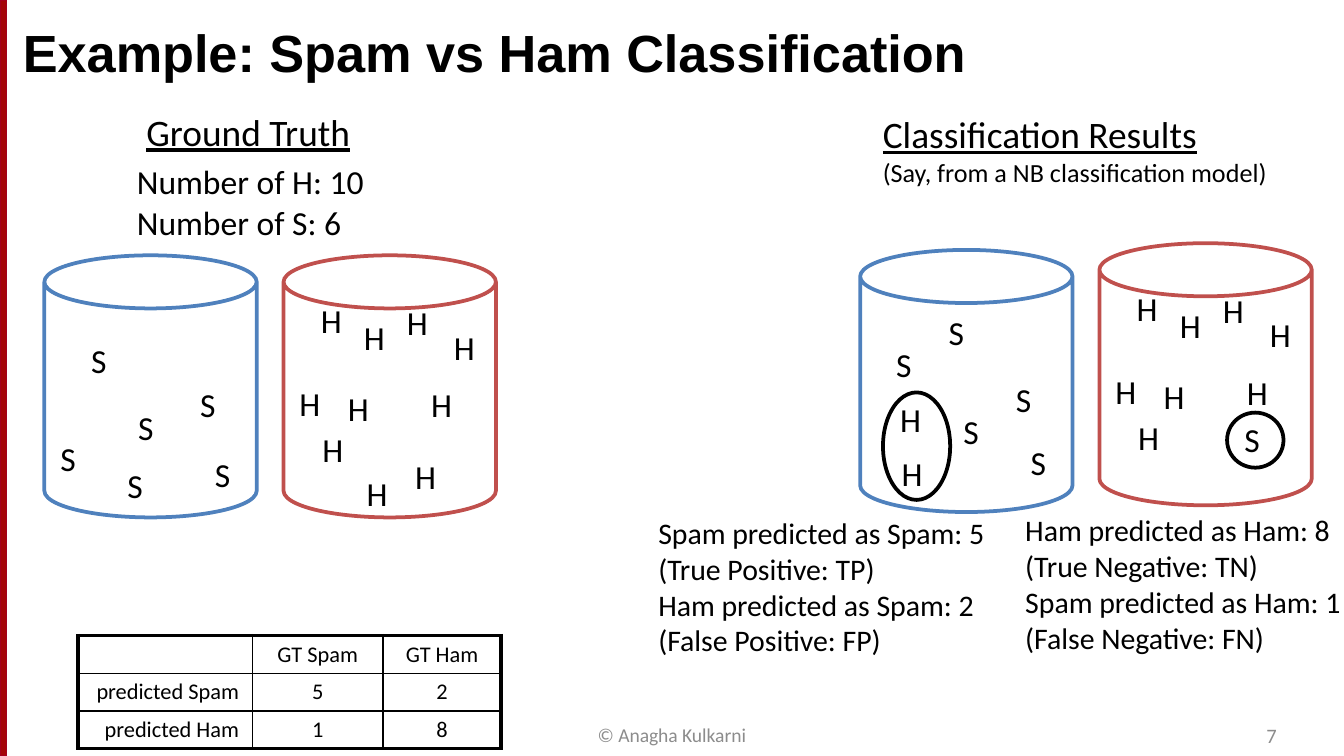
from lxml import etree
from pptx import Presentation
from pptx.dml.color import RGBColor
from pptx.enum.shapes import MSO_CONNECTOR, MSO_SHAPE
from pptx.enum.text import MSO_ANCHOR, MSO_AUTO_SIZE, PP_ALIGN
from pptx.oxml.ns import qn
from pptx.util import Inches, Pt

CAN, OVAL, RECTANGLE = MSO_SHAPE.CAN, MSO_SHAPE.OVAL, MSO_SHAPE.RECTANGLE
STRAIGHT = MSO_CONNECTOR.STRAIGHT
LEFT, CENTER, RIGHT = PP_ALIGN.LEFT, PP_ALIGN.CENTER, PP_ALIGN.RIGHT
BOTTOM = MSO_ANCHOR.BOTTOM
NO_AUTO_SIZE = MSO_AUTO_SIZE.NONE

SLIDE_WIDTH = 10
SLIDE_HEIGHT = SLIDE_WIDTH * 9 / 16
BLACK, WHITE, GRAY = "000000", "FFFFFF", "8C8C8C"
BLUE, RED = "4F81BD", "C0504D"
CAN_WIDTH, CAN_HEIGHT = 1.58, 1.95
LETTER_WIDTHS = {"H": 0.36, "S": 0.32}

HAM_SPOTS = [(0.5, 0.41), (1, 0.91), (0.38, 0.94), (1.17, 0.48), (0.82, 0.3),
             (0.02, 0.9), (0.19, 1.24), (0.18, 0.28), (0.88, 1.44), (0.52, 1.57)]
SPAM_SPOTS = [(0.6, 1.08), (0.52, 1.51), (0.02, 1.31),
              (1.06, 0.91), (0.25, 0.58), (1.17, 1.43)]
TRUE_POSITIVE_SPOTS = [(0.56, 0.41), (0.17, 0.65), (1.06, 0.91),
                       (0.67, 1.15), (1.17, 1.38)]
FALSE_POSITIVE_SPOTS = [(0.2, 1.06), (0.21, 1.46)]
FALSE_NEGATIVE_SPOTS = [(0.98, 1.26)]


def color(value):
    return RGBColor.from_string(value)


def box(left, top, width, height):
    return [Inches(length) for length in (left, top, width, height)]


def write(frame, text, size=18, font="Calibri", ink=BLACK, bold=False,
          underline=False, align=LEFT):
    for line in text.split("\n"):
        paragraph = frame.add_paragraph() if frame.text else frame.paragraphs[0]
        paragraph.alignment = align
        run = paragraph.add_run()
        run.text = line
        run.font.size = Pt(size)
        run.font.name = font
        run.font.bold = bold
        run.font.underline = underline
        run.font.color.rgb = color(ink)


def clear_margins(frame):
    frame.margin_left = frame.margin_right = 0
    frame.margin_top = frame.margin_bottom = 0


def add_text(slide, area, text, wrap=False, inset=True, **style):
    frame = slide.shapes.add_textbox(*box(*area)).text_frame
    frame.word_wrap = wrap
    if not inset:
        clear_margins(frame)
    write(frame, text, **style)
    return frame


def add_outline(slide, kind, area, line, width=2, fill=None):
    shape = slide.shapes.add_shape(kind, *box(*area))
    shape.shadow.inherit = False
    if fill:
        shape.fill.solid()
        shape.fill.fore_color.rgb = color(fill)
    else:
        shape.fill.background()
    shape.line.color.rgb = color(line)
    shape.line.width = Pt(width)


def add_side_bar(slide, height):
    stripe = slide.shapes.add_connector(
        STRAIGHT, Inches(0.02), 0, Inches(0.02), Inches(height))
    stripe.line.color.rgb = color("A40508")
    stripe.line.width = Pt(3.6)
    etree.SubElement(stripe._element.spPr, qn("a:effectLst"))
    add_outline(slide, RECTANGLE, (0, 0, 0.05, height), "A4001D", 0.75)


def set_title(slide, area, text):
    title = slide.shapes.title
    title.left, title.top, title.width, title.height = box(*area)
    frame = title.text_frame
    frame.auto_size = NO_AUTO_SIZE
    frame.word_wrap = True
    frame.vertical_anchor = BOTTOM
    clear_margins(frame)
    write(frame, text, size=28, font="Arial", bold=True)


def add_can(slide, left, top, line, contents, ring=None):
    add_outline(slide, CAN, (left, top, CAN_WIDTH, CAN_HEIGHT), line, fill=WHITE)
    for letter, spots in contents.items():
        for across, down in spots:
            add_text(slide, (left + across, top + down, LETTER_WIDTHS[letter], 0.4),
                     letter)
    if ring:
        across, down, width, height = ring
        add_outline(slide, OVAL, (left + across, top + down, width, height), BLACK)


def add_ground_truth(slide, left, top):
    add_text(slide, (left + 0.59, top + 0.39, 1.91, 0.71),
             "Number of H: 10\nNumber of S: 6")
    add_text(slide, (left + 0.66, top, 2.05, 0.44), "Ground Truth",
             wrap=True, size=20, underline=True)
    add_can(slide, left + 1.78, top + 1.14, RED, {"H": HAM_SPOTS})
    add_can(slide, left, top + 1.14, BLUE, {"S": SPAM_SPOTS})


def add_classification_results(slide, left, top):
    add_can(slide, left + 3.38, top + 1.03, RED,
            {"H": HAM_SPOTS[:8], "S": FALSE_NEGATIVE_SPOTS},
            ring=(0.95, 1.26, 0.42, 0.41))
    add_can(slide, left + 1.6, top + 1.08, BLUE,
            {"H": FALSE_POSITIVE_SPOTS, "S": TRUE_POSITIVE_SPOTS},
            ring=(0.17, 1.06, 0.5, 0.8))
    heading = add_text(slide, (left + 1.67, top, 3.66, 0.67),
                       "Classification Results", size=20, underline=True)
    write(heading, "(Say, from a NB classification model)", size=14)
    add_text(slide, (left, top + 3, 2.66, 1.18),
             "Spam predicted as Spam: 5\n(True Positive: TP)\n"
             "Ham predicted as Spam: 2\n(False Positive: FP)", size=16)
    add_text(slide, (left + 2.73, top + 2.98, 2.58, 1.18),
             "Ham predicted as Ham: 8\n(True Negative: TN)\n"
             "Spam predicted as Ham: 1\n(False Negative: FN)", size=16)


def set_border(cell, side, width):
    properties = cell._tc.get_or_add_tcPr()
    line = etree.SubElement(properties, qn(f"a:ln{side}"), w=str(Pt(width)))
    fill = etree.SubElement(line, qn("a:solidFill"))
    etree.SubElement(fill, qn("a:srgbClr"), val=BLACK)


def add_confusion_matrix(slide, left, top):
    rows = [["", "GT Spam", "GT Ham"],
            ["predicted Spam", "5", "2"],
            ["predicted Ham", "1", "8"]]
    widths = [1.3, 0.97, 0.88]
    heights = [0.28, 0.25, 0.28]
    last = len(rows) - 1
    table = slide.shapes.add_table(
        len(rows), len(widths),
        *box(left, top, sum(widths), sum(heights))).table
    for column, width in zip(table.columns, widths):
        column.width = Inches(width)
    for row_index, row in enumerate(rows):
        table.rows[row_index].height = Inches(heights[row_index])
        for column_index, text in enumerate(row):
            cell = table.cell(row_index, column_index)
            cell.margin_left = cell.margin_right = Inches(0.1)
            cell.margin_top = cell.margin_bottom = Inches(0.04)
            outer = {"L": column_index == 0, "R": column_index == last,
                     "T": row_index == 0, "B": row_index == last}
            for side, is_outer in outer.items():
                set_border(cell, side, 2.25 if is_outer else 1)
            cell.fill.background()
            if text:
                write(cell.text_frame, text, size=12,
                      align=CENTER if column_index else RIGHT)
            else:
                ending = cell.text_frame.paragraphs[0]._p.get_or_add_endParaRPr()
                ending.set("sz", "1200")


def add_footer(slide, top):
    add_text(slide, (3.4, top, 3.2, 0.18), "© Anagha Kulkarni", wrap=True,
             inset=False, size=10.5, ink=GRAY, align=CENTER)
    add_text(slide, (7.2, top, 2.3, 0.19), "7", wrap=True,
             inset=False, size=11, ink=GRAY, align=RIGHT)


def main():
    presentation = Presentation()
    presentation.slide_width = Inches(SLIDE_WIDTH)
    presentation.slide_height = Inches(SLIDE_HEIGHT)
    slide = presentation.slides.add_slide(presentation.slide_layouts[5])
    add_side_bar(slide, SLIDE_HEIGHT)
    set_title(slide, (0.17, 0.15, 8.33, 0.47), "Example: Spam vs Ham Classification")
    add_ground_truth(slide, 0.33, 0.76)
    add_classification_results(slide, 4.8, 0.78)
    add_confusion_matrix(slide, 0.58, 4.73)
    add_footer(slide, 5.38)
    presentation.save("out.pptx")


if __name__ == "__main__":
    main()
